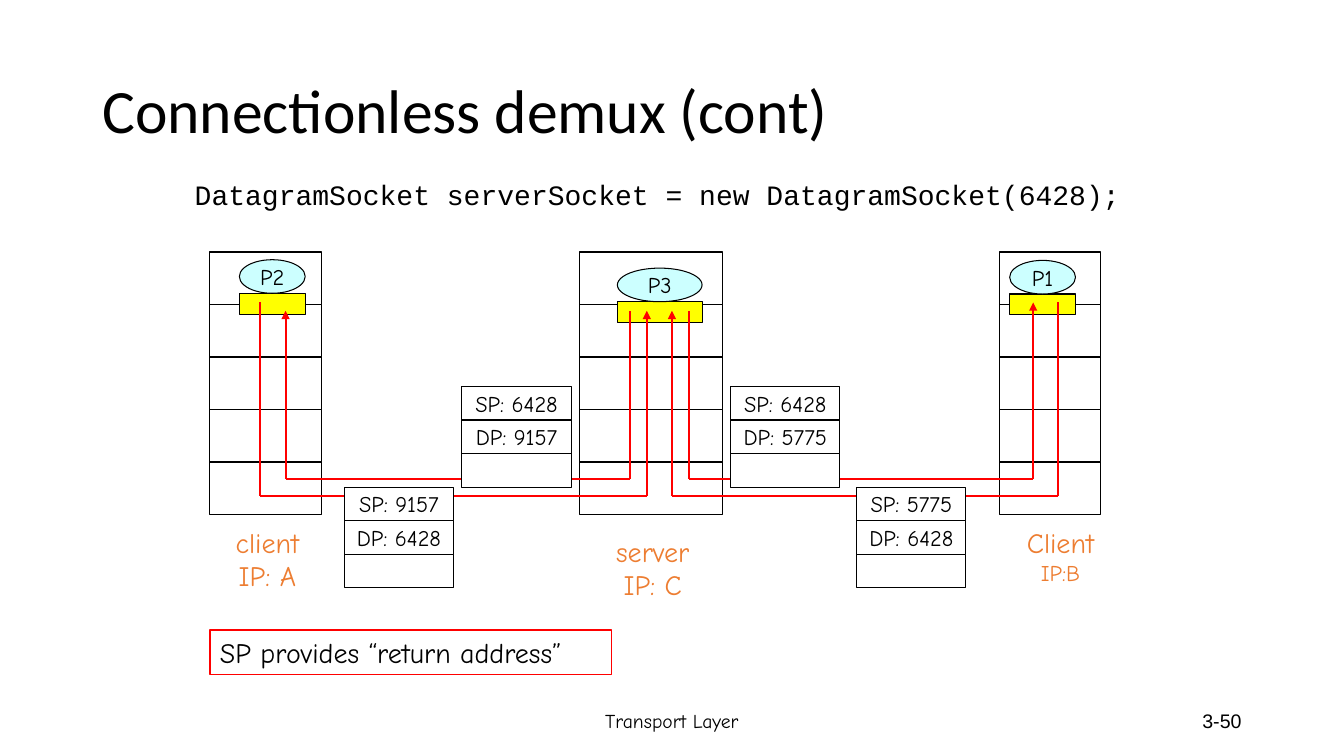
import pptx
import pptx.util
import pptx.dml.color
import pptx.enum.shapes
import pptx.enum.text
import pptx.oxml.ns
import lxml.etree

Pt = pptx.util.Pt
SHAPE = pptx.enum.shapes.MSO_SHAPE
LINE = pptx.enum.shapes.MSO_CONNECTOR.STRAIGHT
ALIGN = pptx.enum.text.PP_ALIGN
ANCHOR = pptx.enum.text.MSO_ANCHOR

THEME = {
    "ink": "000000", "paper": "FFFFFF", "label": "ED7D31", "flow": "FF0000",
    "process": "CCFFFF", "socket": "FFFF00",
    "head": "Calibri", "hand": "Comic Neue", "code": "Courier New", "num": "Arial",
    "title": 44, "large": 20, "mid": 16, "small": 14, "thin": 0.75, "thick": 1.5,
}

TEXTS = [
    ("Connectionless demux (cont)", (66, 29, 828, 104), "head", "title", ALIGN.LEFT, ANCHOR.MIDDLE, 0.9),
    ("DatagramSocket serverSocket = new DatagramSocket(6428);", (132, 126, 684, 48),
     "code", "large", ALIGN.LEFT, ANCHOR.TOP, 0.9),
    ("Transport Layer", (318, 500.5, 324, 28.75), "hand", "small", ALIGN.CENTER, ANCHOR.MIDDLE, 1),
    ("3-50", (678, 500.5, 216, 28.75), "num", "small", ALIGN.RIGHT, ANCHOR.MIDDLE, 1),
]
NOTE = ("SP provides “return address”", (150, 450, 286.5, 31.5))

HOSTS = [
    {"x": 150, "width": 80, "process": "P2", "oval": (171, 185.5, 47),
     "label": ("client", "IP: A"), "place": (157, 371.5, 68), "sizes": ("large", "large")},
    {"x": 714, "width": 72, "process": "P1", "oval": (721.25, 186, 47),
     "label": ("Client", "IP:B"), "place": (723.5, 372, 68), "sizes": ("large", "mid")},
    {"x": 414, "width": 102, "process": "P3", "oval": (441, 191.5, 60.5),
     "label": ("server", "IP: C"), "place": (428.5, 378, 75.5), "sizes": ("large", "large")},
]
TOP, LAYERS, LAYER = 180, 5, 37.5
OVAL, SOCKET = 24, 15

FLOWS = [
    [(186, 216), (186, 354), (462, 354), (462, 222)],
    [(450, 222), (450, 342), (204, 342), (204, 222)],
    [(756, 216), (756, 354), (480, 354), (480, 222)],
    [(492, 222), (492, 342), (738, 342), (738, 216)],
]

PACKETS = [
    (330, 276, ("SP: 6428", "DP: 9157", "")),
    (246, 348, ("SP: 9157", "DP: 6428", "")),
    (522, 276, ("SP: 6428", "DP: 5775", "")),
    (612, 348, ("SP: 5775", "DP: 6428", "")),
]
FIELD = (78, 24)

deck = pptx.Presentation()
deck.slide_width, deck.slide_height = Pt(960), Pt(540)
slide = deck.slides.add_slide(deck.slide_layouts[6])


def color(name):
    return pptx.dml.color.RGBColor.from_string(THEME[name])


def style(par, font, size, ink="ink", align=ALIGN.CENTER, space=1):
    par.alignment = align
    par.line_spacing = space
    for run in par.runs:
        run.font.name = THEME[font]
        run.font.size = Pt(THEME[size])
        run.font.color.rgb = color(ink)


def shape(kind, box, fill, text="", edge="ink"):
    item = slide.shapes.add_shape(kind, *map(Pt, box))
    item.shadow.inherit = False
    if fill:
        item.fill.solid()
        item.fill.fore_color.rgb = color(fill)
    else:
        item.fill.background()
    item.line.color.rgb = color(edge)
    item.line.width = Pt(THEME["thin"])
    if text:
        frame = item.text_frame
        frame.word_wrap = False
        frame.vertical_anchor = ANCHOR.MIDDLE
        frame.text = text
        style(frame.paragraphs[0], "hand", "mid")
    return item


def write(text, box):
    frame = slide.shapes.add_textbox(*map(Pt, box)).text_frame
    frame.word_wrap = True
    frame.text = text
    return frame


def host(data):
    for row in range(LAYERS):
        shape(SHAPE.RECTANGLE, (data["x"], TOP + row * LAYER, data["width"], LAYER), "paper")
    left, top, width = data["oval"]
    shape(SHAPE.RECTANGLE, (left, top + OVAL, width, SOCKET), "socket")
    shape(SHAPE.OVAL, (left, top, width, OVAL), "process", data["process"])
    frame = write("\n".join(data["label"]), (*data["place"], 55))
    for par, size in zip(frame.paragraphs, data["sizes"]):
        style(par, "hand", size, "label")


def flow(points):
    for start, end in zip(points, points[1:]):
        line = slide.shapes.add_connector(LINE, *map(Pt, start + end))
        line.line.color.rgb = color("flow")
        line.line.width = Pt(THEME["thick"])
        if end == points[-1]:
            tip = lxml.etree.SubElement(line.line._get_or_add_ln(), pptx.oxml.ns.qn("a:tailEnd"))
            tip.set("type", "triangle")
        lxml.etree.SubElement(line._element.spPr, pptx.oxml.ns.qn("a:effectLst"))


def packet(left, top, fields):
    width, height = FIELD
    for row, text in enumerate(fields):
        shape(SHAPE.RECTANGLE, (left, top + row * height, width, height), "paper", text)


for text, box, font, size, align, anchor, space in TEXTS:
    frame = write(text, box)
    frame.vertical_anchor = anchor
    style(frame.paragraphs[0], font, size, align=align, space=space)
for data in HOSTS:
    host(data)
for points in FLOWS:
    flow(points)
for data in PACKETS:
    packet(*data)
text, box = NOTE
note = shape(SHAPE.RECTANGLE, box, None, text, "flow")
note.text_frame.word_wrap = True
style(note.text_frame.paragraphs[0], "hand", "large", align=ALIGN.LEFT)

deck.save("out.pptx")
